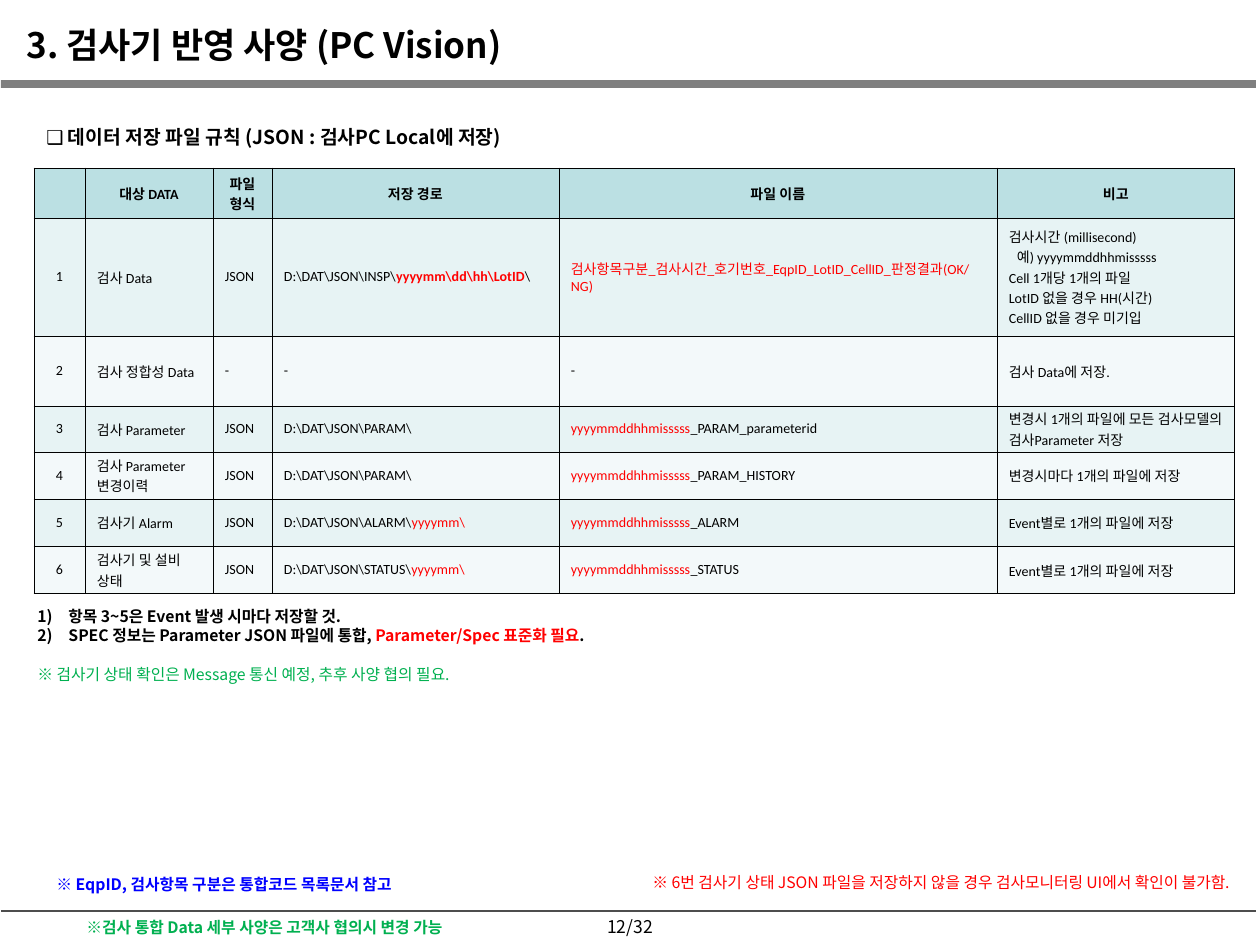
import dataclasses
import typing

import lxml.etree
import pptx
import pptx.dml.color
import pptx.enum.shapes
import pptx.enum.text
import pptx.oxml
import pptx.oxml.ns
import pptx.util

EMU_PER_PX = 914400 / 126
ALIGN = pptx.enum.text.PP_ALIGN


@dataclasses.dataclass(frozen=True)
class Theme:
    black: str = "000000"
    red: str = "FF0000"
    green: str = "00B050"
    blue: str = "0000FF"
    bar: str = "7F7F7F"
    rule: str = "4D4D4D"
    header: str = "BBE0E3"
    bands: tuple[str, str] = ("E7F3F4", "F3F9FA")
    korean: str = "Noto Sans CJK KR"
    table_font: str = "Calibri"
    symbol_font: str = "Arial"
    title_size: int = 20
    heading_size: int = 11
    page_size: int = 10
    note_size: int = 9
    table_size: int = 8
    line_height: float = 1.2


THEME = Theme()


@dataclasses.dataclass(frozen=True)
class Run:
    text: str
    color: str | None = None
    bold: bool | None = None
    font: str | None = None


@dataclasses.dataclass(frozen=True)
class Line:
    runs: tuple[Run, ...]
    indent: int = 0


@dataclasses.dataclass(frozen=True)
class Note:
    box: tuple[int, int, int, int]
    lines: tuple[Line, ...]
    size: int = THEME.note_size
    color: str = THEME.black
    bold: bool = True
    align: ALIGN = ALIGN.LEFT
    numbered: bool = False


def px(value: int) -> pptx.util.Emu:
    return pptx.util.Emu(round(value * EMU_PER_PX))


def rgb(value: str) -> pptx.dml.color.RGBColor:
    return pptx.dml.color.RGBColor.from_string(value)


def line(*parts: str | Run, indent: int = 0) -> Line:
    return Line(tuple(Run(part) if isinstance(part, str) else part for part in parts), indent)


def red(text: str, bold: bool | None = None) -> Run:
    return Run(text, THEME.red, bold)


def add_child(parent: typing.Any, tag: str, **attributes: str) -> typing.Any:
    return lxml.etree.SubElement(parent, pptx.oxml.ns.qn(tag), **attributes)


def write_text(frame: typing.Any, lines: tuple[Line, ...], *, size: int, font: str = THEME.korean,
               color: str = THEME.black, bold: bool = False, align: ALIGN = ALIGN.LEFT,
               spacing: float | None = None, numbered: bool = False) -> None:
    frame.word_wrap = True
    for index, content in enumerate(lines):
        paragraph = frame.paragraphs[0] if index == 0 else frame.add_paragraph()
        properties = paragraph._p.get_or_add_pPr()
        if numbered:
            properties.set("marL", str(px(31)))
            properties.set("indent", str(-px(31)))
            add_child(properties, "a:buFont", typeface=font)
            add_child(properties, "a:buAutoNum", type="arabicParenR")
        elif content.indent:
            properties.set("marL", str(px(content.indent)))
        paragraph.alignment = align
        if spacing:
            paragraph.line_spacing = pptx.util.Pt(round(size * spacing, 1))
        for part in content.runs:
            run = paragraph.add_run()
            run.text = part.text
            run.font.size = pptx.util.Pt(size)
            run.font.bold = bold if part.bold is None else part.bold
            run.font.color.rgb = rgb(part.color or color)
            run.font.name = part.font or font
            add_child(run._r.get_or_add_rPr(), "a:ea", typeface=THEME.korean)


def add_note(slide: typing.Any, note: Note) -> None:
    shape = slide.shapes.add_textbox(*map(px, note.box))
    write_text(shape.text_frame, note.lines, size=note.size, color=note.color, bold=note.bold,
               align=note.align, spacing=THEME.line_height, numbered=note.numbered)


def style_cell(cell: typing.Any, fill: str) -> None:
    properties = cell._tc.get_or_add_tcPr()
    for side in ("a:lnL", "a:lnR", "a:lnT", "a:lnB"):
        border = add_child(properties, side, w=str(pptx.util.Pt(0.45)))
        add_child(add_child(border, "a:solidFill"), "a:srgbClr", val=THEME.black)
    cell.fill.solid()
    cell.fill.fore_color.rgb = rgb(fill)
    cell.vertical_anchor = pptx.enum.text.MSO_ANCHOR.MIDDLE
    cell.margin_left = cell.margin_right = px(12)
    cell.margin_top = cell.margin_bottom = px(2)


def add_rules_table(slide: typing.Any) -> None:
    frame = slide.shapes.add_table(len(ROWS), len(COLUMN_WIDTHS), px(34), px(168),
                                   px(sum(COLUMN_WIDTHS)), px(sum(ROW_HEIGHTS)))
    table = frame.table
    for column, width in zip(table.columns, COLUMN_WIDTHS):
        column.width = px(width)
    for row, height in zip(table.rows, ROW_HEIGHTS):
        row.height = px(height)
    for row_index, contents in enumerate(ROWS):
        is_header = row_index == 0
        fill = THEME.header if is_header else THEME.bands[(row_index - 1) % 2]
        number = "" if is_header else str(row_index)
        for column_index, content in enumerate((number, *contents)):
            cell = table.cell(row_index, column_index)
            style_cell(cell, fill)
            if not content:
                continue
            lines = content if isinstance(content, tuple) else (content,)
            lines = tuple(item if isinstance(item, Line) else line(item) for item in lines)
            centred = is_header or column_index == 0
            write_text(cell.text_frame, lines, size=THEME.table_size, font=THEME.table_font,
                       bold=is_header, align=ALIGN.CENTER if centred else ALIGN.LEFT)


def add_frame(slide: typing.Any) -> None:
    bar = slide.shapes.add_shape(pptx.enum.shapes.MSO_SHAPE.RECTANGLE, px(1), px(80), px(1255), px(8))
    bar.shadow.inherit = False
    bar.fill.solid()
    bar.fill.fore_color.rgb = rgb(THEME.bar)
    bar.line.fill.background()
    rule = slide.shapes.add_connector(pptx.enum.shapes.MSO_CONNECTOR.STRAIGHT,
                                      px(1), px(911), px(1256), px(911))
    rule.line.color.rgb = rgb(THEME.rule)
    rule.line.width = pptx.util.Pt(0.75)
    add_child(rule._element.spPr, "a:effectLst")


# Table content; the number column is filled in by row
COLUMN_WIDTHS = (51, 128, 59, 287, 438, 238)
ROW_HEIGHTS = (50, 118, 70, 46, 47, 47, 48)
STAMP = red("yyyymmddhhmisssss")
PER_EVENT = "Event별로 1개의 파일에 저장"
ROWS = (
    ("대상 DATA", ("파일", "형식"), "저장 경로", "파일 이름", "비고"),
    ("검사 Data", "JSON",
     line("D:\\DAT\\JSON\\INSP\\", red("yyyymm\\dd\\hh\\LotID", bold=True), "\\"),
     line(red("검사항목구분_검사시간_호기번호_EqpID_LotID_CellID_판정결과(OK/NG)")),
     ("검사시간 (millisecond)", line("예) yyyymmddhhmisssss", indent=8), "Cell 1개당 1개의 파일",
      "LotID 없을 경우 HH(시간)", "CellID 없을 경우 미기입")),
    ("검사 정합성 Data", "-", "-", "-", "검사 Data에 저장."),
    ("검사 Parameter", "JSON", "D:\\DAT\\JSON\\PARAM\\", line(STAMP, "_PARAM_parameterid"),
     "변경시 1개의 파일에 모든 검사모델의 검사Parameter 저장"),
    (("검사 Parameter", "변경이력"), "JSON", "D:\\DAT\\JSON\\PARAM\\",
     line(STAMP, "_PARAM_HISTORY"), "변경시마다 1개의 파일에 저장"),
    ("검사기 Alarm", "JSON", line("D:\\DAT\\JSON\\ALARM\\", red("yyyymm\\")),
     line(STAMP, "_ALARM"), PER_EVENT),
    (("검사기 및 설비", "상태"), "JSON", line("D:\\DAT\\JSON\\STATUS\\", red("yyyymm\\")),
     line(STAMP, "_STATUS"), PER_EVENT),
)

# Title, heading, notes and page number
NOTES = (
    Note((564, 910, 132, 26), (line("12/32"),), THEME.page_size, bold=False, align=ALIGN.CENTER),
    Note((14, 17, 616, 55), (line("3. 검사기 반영 사양 (PC Vision)"),), THEME.title_size),
    Note((74, 912, 435, 32), (line("※검사 통합 Data 세부 사양은 고객사 협의시 변경 가능"),),
         color=THEME.green),
    Note((34, 119, 556, 36),
         (line(Run("❑ ", font=THEME.symbol_font), "데이터 저장 파일 규칙 (JSON : 검사PC Local에 저장)"),),
         THEME.heading_size),
    Note((25, 601, 915, 50),
         (line("항목 3~5은 Event 발생 시마다 저장할 것."),
          line("SPEC 정보는 Parameter JSON 파일에 통합, ", red("Parameter/Spec 표준화 필요"), ".")),
         numbered=True),
    Note((25, 659, 1200, 32), (line("※ 검사기 상태 확인은 Message 통신 예정, 추후 사양 협의 필요."),),
         color=THEME.green, bold=False),
    Note((640, 867, 615, 50),
         (line("※ 6번 검사기 상태 JSON 파일을 저장하지 않을 경우 검사모니터링 UI에서 확인이 불가함."),),
         color=THEME.red, bold=False),
    Note((44, 869, 630, 32), (line("※ EqpID, 검사항목 구분은 통합코드 목록문서 참고"),),
         color=THEME.blue),
)


def main() -> None:
    presentation = pptx.Presentation()
    presentation.slide_width = px(1260)
    presentation.slide_height = px(945)
    slide = presentation.slides.add_slide(presentation.slide_layouts[6])
    add_frame(slide)
    add_rules_table(slide)
    for note in NOTES:
        add_note(slide, note)
    presentation.save("out.pptx")


if __name__ == "__main__":
    main()
